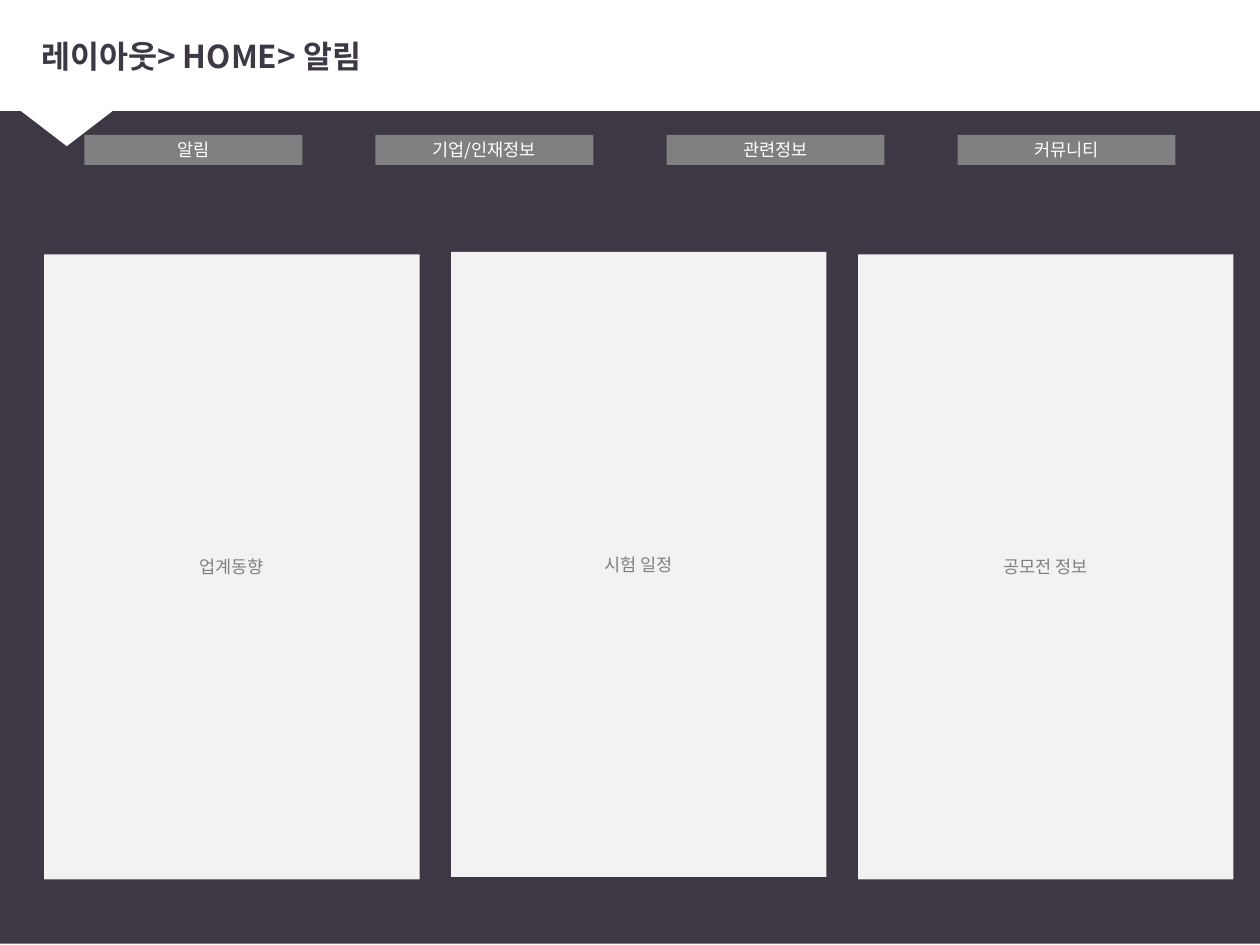
from lxml.etree import SubElement
from pptx import Presentation
from pptx.dml.color import RGBColor
from pptx.enum.shapes import MSO_SHAPE
from pptx.enum.text import MSO_ANCHOR, PP_ALIGN
from pptx.oxml.ns import qn
from pptx.util import Inches, Pt

FONT = "Noto Sans CJK KR"
DARK = RGBColor(0x3D, 0x38, 0x44)
WHITE = RGBColor(0xFF, 0xFF, 0xFF)
GRAY = RGBColor(0x80, 0x80, 0x80)
LIGHT = RGBColor(0xF2, 0xF2, 0xF2)


def add_block(slide, kind, left, top, width, height, fill):
    block = slide.shapes.add_shape(
        kind, Inches(left), Inches(top), Inches(width), Inches(height))
    block.shadow.inherit = False
    block.fill.solid()
    block.fill.fore_color.rgb = fill
    block.line.fill.background()
    return block


def write(shape, text, size, color, align, bold=False):
    frame = shape.text_frame
    frame.word_wrap = True
    frame.vertical_anchor = MSO_ANCHOR.MIDDLE
    frame.text = text
    paragraph = frame.paragraphs[0]
    paragraph.alignment = align
    run = paragraph.runs[0]
    run.font.name = FONT
    run.font.size = Pt(size)
    run.font.bold = bold
    run.font.color.rgb = color
    # Hangul takes its typeface from the East Asian font
    SubElement(run.font._element, qn("a:ea"), typeface=FONT)


def add_background(slide, width, height):
    add_block(slide, MSO_SHAPE.RECTANGLE, 0, 0, width, height, DARK)


def add_header(slide, width, height, title):
    """White band with a pointer below it and the page path as title."""
    add_block(slide, MSO_SHAPE.RECTANGLE, 0, 0, width, height, WHITE)
    pointer = add_block(
        slide, MSO_SHAPE.ISOSCELES_TRIANGLE, -0.2, 0.6, 1.46, 0.56, WHITE)
    pointer.rotation = 180
    heading = slide.shapes.add_textbox(
        Inches(0.23), Inches(0.13), Inches(width - 0.34), Inches(0.62))
    write(heading, title, 18, DARK, PP_ALIGN.LEFT, bold=True)


def add_menu(slide, left, top, width, height, labels):
    item_width = 1.73
    step = (width - item_width) / (len(labels) - 1)
    for index, label in enumerate(labels):
        item = add_block(slide, MSO_SHAPE.RECTANGLE, left + index * step, top,
                         item_width, height, GRAY)
        write(item, label, 10, WHITE, PP_ALIGN.CENTER)


def add_panels(slide, left, top, width, height, panels):
    """Equal columns; each panel is a label and its offset from the top."""
    gap = 0.25
    panel_width = (width - gap * (len(panels) - 1)) / len(panels)
    for index, (label, offset) in enumerate(panels):
        panel = add_block(
            slide, MSO_SHAPE.RECTANGLE, left + index * (panel_width + gap),
            top + offset, panel_width, height, LIGHT)
        write(panel, label, 10, GRAY, PP_ALIGN.CENTER)


def main():
    presentation = Presentation()
    presentation.slide_width = Inches(10)
    presentation.slide_height = Inches(7.5)
    slide = presentation.slides.add_slide(presentation.slide_layouts[6])

    add_background(slide, 10, 7.49)
    add_header(slide, 10, 0.88, "레이아웃> HOME> 알림")
    add_menu(slide, 0.67, 1.07, 8.66, 0.24,
             ["알림", "기업/인재정보", "관련정보", "커뮤니티"])
    add_panels(slide, 0.35, 2, 9.44, 4.96,
               [("업계동향", 0.02), ("시험 일정", 0), ("공모전 정보", 0.02)])

    presentation.save("out.pptx")


if __name__ == "__main__":
    main()
